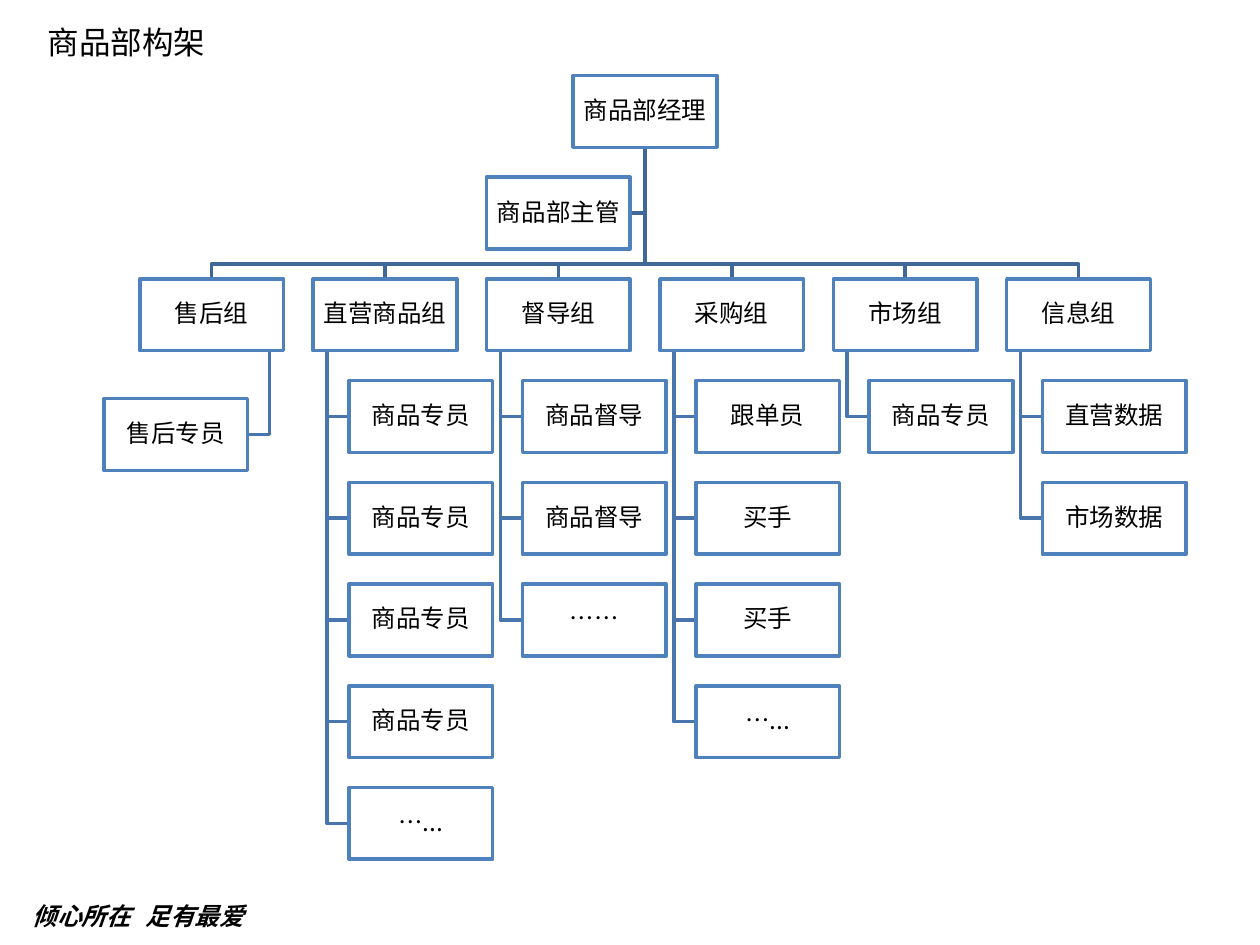
from collections import namedtuple

from lxml import etree
from pptx import Presentation
from pptx.dml.color import RGBColor
from pptx.enum.shapes import MSO_SHAPE as Shape
from pptx.enum.text import MSO_ANCHOR as Anchor, MSO_AUTO_SIZE as Fit, PP_ALIGN as Align
from pptx.oxml.ns import qn
from pptx.util import Inches, Pt

FONT = "Noto Sans CJK SC"
BLACK = RGBColor(0x00, 0x00, 0x00)
WHITE = RGBColor(0xFF, 0xFF, 0xFF)
EDGE = RGBColor(0x4F, 0x81, 0xBD)
TRUNK = RGBColor(0x3F, 0x67, 0x97)
TWIG = RGBColor(0x48, 0x75, 0xAC)

Box = namedtuple("Box", "left top width height")
CARD_W, CARD_H = Inches(1.14), Inches(0.57)
ROW = Inches(5.65) / 7    # step between card rows
COL = Inches(6.88) / 5    # step between groups
SHIFT = Inches(0.285)     # offset of members from their group
STUB = Inches(0.11)       # offset of a group's stem from its side

CARD_FRAME = {
    "word_wrap": True, "vertical_anchor": Anchor.MIDDLE,
    "margin_left": Inches(0.01), "margin_right": Inches(0.01),
    "margin_top": Inches(0.01), "margin_bottom": Inches(0.01),
}
CARD_PARA = {"alignment": Align.CENTER, "line_spacing": 0.9, "space_after": Pt(5)}
HEAD_FRAME = {"word_wrap": True, "vertical_anchor": Anchor.TOP, "auto_size": Fit.NONE}
LEFT_PARA = {"alignment": Align.LEFT}
CARD_FONT = {"size": Pt(14)}
HEAD_FONT = {"size": Pt(18)}
MOTTO_FONT = {"size": Pt(14), "bold": True, "italic": True}

# Group name, member names, side on which the members hang
GROUPS = [
    ("售后组", ["售后专员"], "left"),
    ("直营商品组", ["商品专员"] * 4 + ["…..."], "right"),
    ("督导组", ["商品督导", "商品督导", "……"], "right"),
    ("采购组", ["跟单员", "买手", "买手", "…..."], "right"),
    ("市场组", ["商品专员"], "right"),
    ("信息组", ["直营数据", "市场数据"], "right"),
]


def style(item, values):
    for key, value in values.items():
        setattr(item, key, value)


def write(frame, text, layout, para, font):
    style(frame, layout)
    line = frame.paragraphs[0]
    style(line, para)
    run = line.add_run()
    run.text = text
    style(run.font, {"name": FONT, **font})
    run.font.color.rgb = BLACK
    # East Asian glyphs take their typeface from a:ea
    etree.SubElement(run.font._element, qn("a:ea"), typeface=FONT)


def card(slide, box, text):
    rect = slide.shapes.add_shape(Shape.RECTANGLE, *box)
    rect.shadow.inherit = False
    rect.fill.solid()
    rect.fill.fore_color.rgb = WHITE
    rect.line.color.rgb = EDGE
    rect.line.width = Pt(2)
    write(rect.text_frame, text, CARD_FRAME, CARD_PARA, CARD_FONT)


def link(slide, points, color):
    pen = slide.shapes.build_freeform(*points[0])
    pen.add_line_segments(points[1:], close=False)
    wire = pen.convert_to_shape()
    wire.shadow.inherit = False
    wire.fill.background()
    wire.line.color.rgb = color
    wire.line.width = Pt(2)


def spot(left, top):
    return Box(round(left), round(top), CARD_W, CARD_H)


def middle(box):
    return box.left + box.width // 2, box.top + box.height // 2


def branch(slide, box, name, members, side):
    """A group card with its members hanging from a stem."""
    base = box.top + box.height
    if side == "left":
        stem, left, first = box.left + box.width - STUB, box.left - SHIFT, Inches(0.95)
    else:
        stem, left, first = box.left + STUB, box.left + SHIFT, ROW
    spots = [spot(left, box.top + first + ROW * i) for i in range(len(members))]
    for place in reversed(spots):
        level = middle(place)[1]
        end = place.left + (place.width if side == "left" else 0)
        link(slide, [(stem, base), (stem, level), (end, level)], TWIG)
    card(slide, box, name)
    for place, member in zip(spots, members):
        card(slide, place, member)


def chart(slide, box):
    """The whole tree: manager, assistant and groups."""
    boss = spot(box.left + 2.5 * COL, box.top)
    aide = spot(box.left + 2 * COL, box.top + ROW)
    groups = [spot(box.left + COL * i, box.top + 2 * ROW) for i in range(len(GROUPS))]
    axis, base = middle(boss)[0], boss.top + boss.height
    rail = groups[0].top - Inches(0.12)

    # Trunk lines
    level = middle(aide)[1]
    link(slide, [(axis, base), (axis, level), (aide.left + aide.width, level)], TRUNK)
    for place in groups:
        x = middle(place)[0]
        link(slide, [(axis, base), (axis, rail), (x, rail), (x, place.top)], TRUNK)

    # Cards
    card(slide, boss, "商品部经理")
    for place, group in zip(groups, GROUPS):
        branch(slide, place, *group)
    card(slide, aide, "商品部主管")


def heading(slide, box):
    title = slide.shapes.title
    style(title, box._asdict())
    write(title.text_frame, "商品部构架", HEAD_FRAME, LEFT_PARA, HEAD_FONT)


def motto(slide, box):
    frame = slide.shapes.add_textbox(*box).text_frame
    # A tab stop sets the gap between the two halves
    props = frame.paragraphs[0]._p.get_or_add_pPr()
    tabs = etree.SubElement(props, qn("a:tabLst"))
    etree.SubElement(tabs, qn("a:tab"), pos=str(Inches(0.9)), algn="l")
    write(frame, "倾心所在\t足有最爱", HEAD_FRAME, LEFT_PARA, MOTTO_FONT)


def main():
    deck = Presentation()
    deck.slide_width, deck.slide_height = Inches(10), Inches(7.5)
    slide = deck.slides.add_slide(deck.slide_layouts[5])
    heading(slide, Box(Inches(0.28), Inches(0.13), Inches(3.86), Inches(0.4)))
    motto(slide, Box(Inches(0.16), Inches(7.1), Inches(2.47), Inches(0.32)))
    chart(slide, Box(Inches(1.11), Inches(0.6), Inches(8.3), Inches(6.22)))
    deck.save("out.pptx")


if __name__ == "__main__":
    main()
